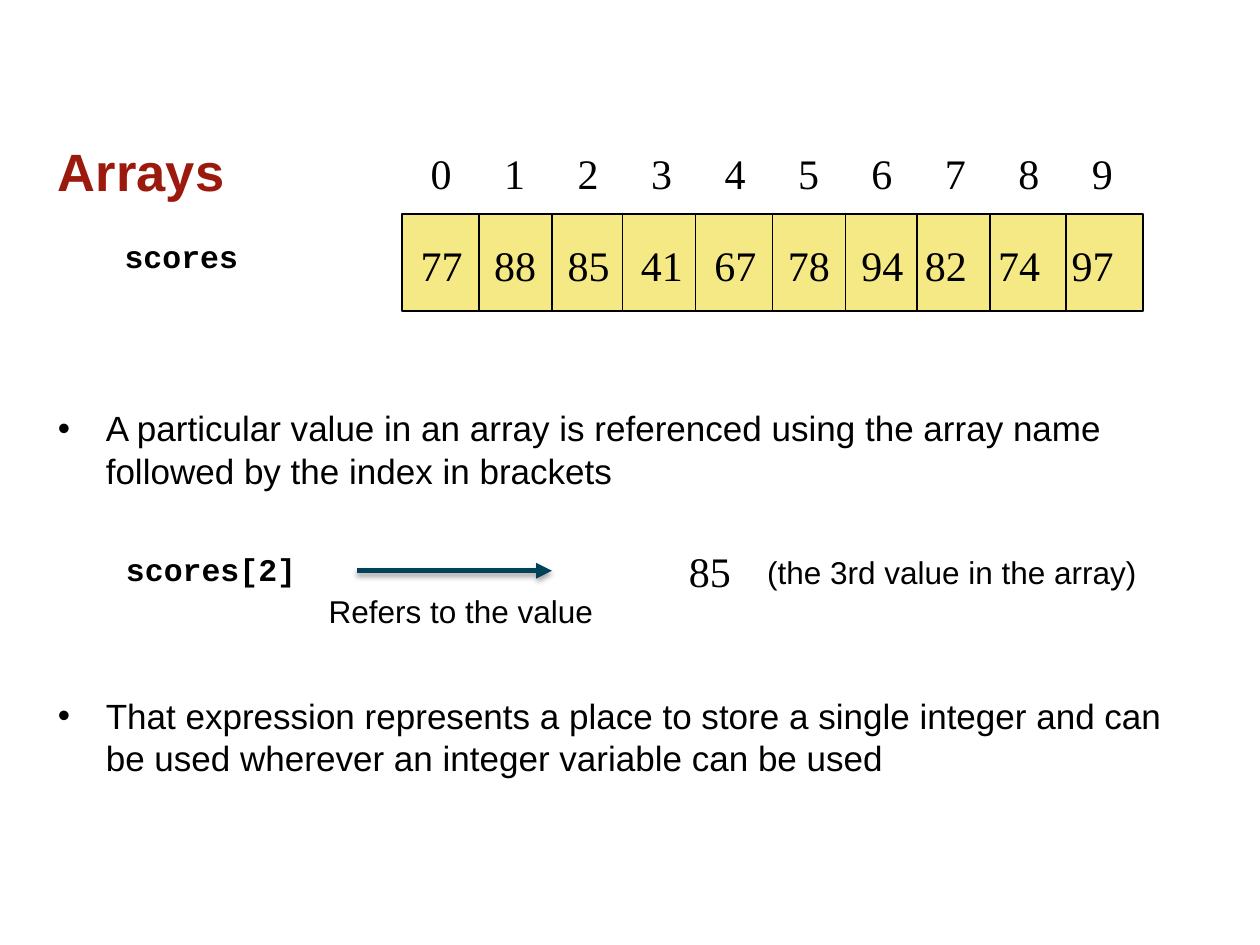
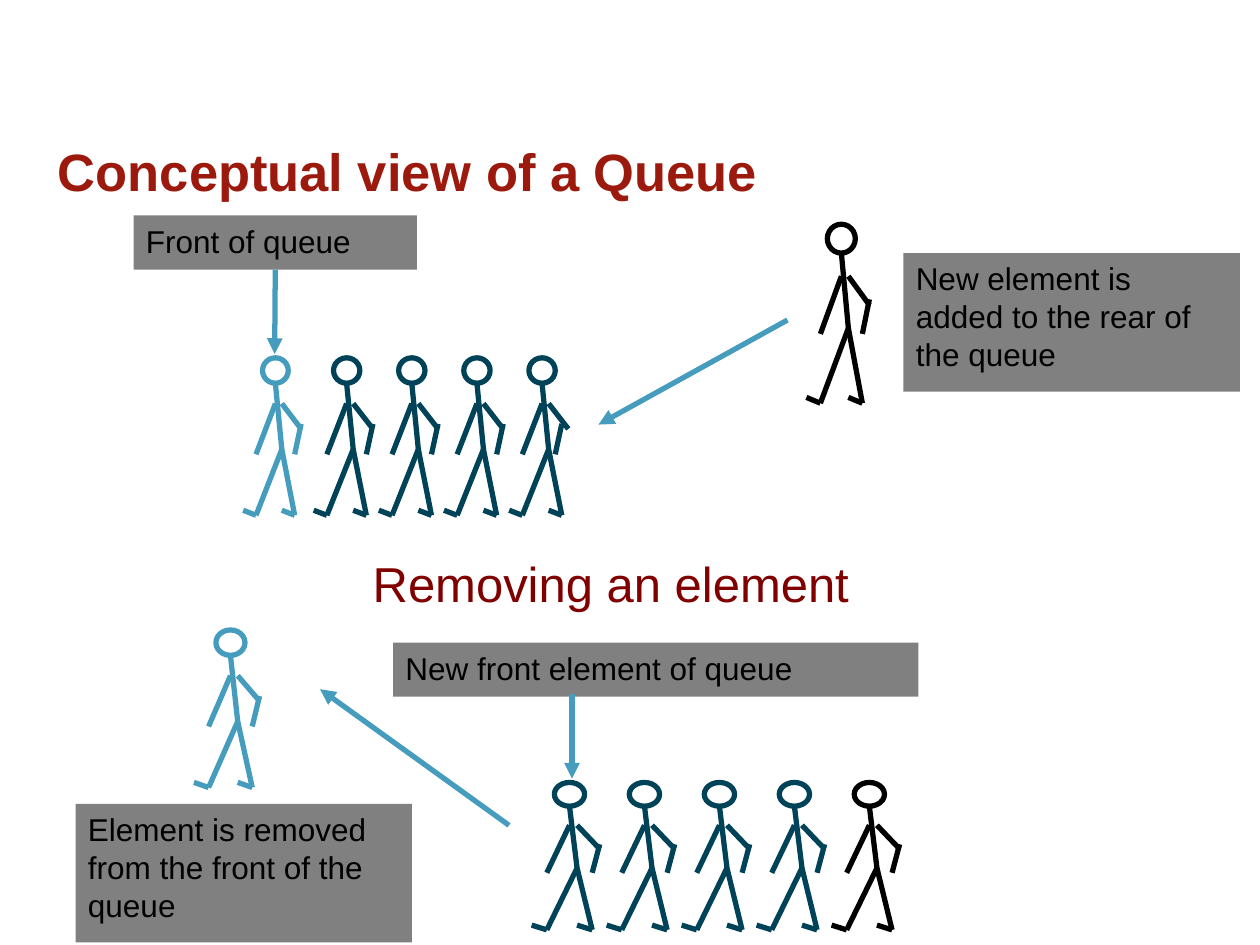
from dataclasses import dataclass

from lxml.etree import SubElement
from pptx import Presentation
from pptx.dml.color import RGBColor
from pptx.enum.shapes import MSO_CONNECTOR, MSO_SHAPE
from pptx.enum.text import MSO_ANCHOR, MSO_AUTO_SIZE, PP_ALIGN
from pptx.oxml.ns import qn
from pptx.util import Inches, Pt


@dataclass(frozen=True)
class Theme:
    red: str = "9C190D"
    maroon: str = "800000"
    black: str = "000000"
    navy: str = "004359"
    blue: str = "459CBD"
    grey: str = "808080"
    yellow: str = "F5E985"
    sans: str = "Arial"
    mono: str = "Courier New"
    serif: str = "Times New Roman"
    title: int = 30
    head: int = 28
    digit: int = 24
    list: int = 20
    label: int = 18
    thin: int = 1
    thick: int = 3


@dataclass(frozen=True)
class Box:
    left: float
    top: float
    width: float
    height: float

    def spans(self) -> list:
        return [Inches(n) for n in (self.left, self.top, self.width, self.height)]


@dataclass(frozen=True)
class Person:
    box: Box
    color: str
    slip: int = 0


@dataclass(frozen=True)
class Label:
    text: str
    box: Box


THEME = Theme()
COLS, ROWS = 9, 31
LIMBS = (
    (5, 5, 6, 18),
    (6, 18, 2, 31),
    (6, 18, 8, 31),
    (2, 31, 0, 30),
    (8, 31, 6, 30),
    (5, 9, 2, 19),
    (6, 9, 9, 14),
)
FOREARM = (9, 13, 8, 19)
PITCH = 0.583


def write(para, text: str, *, size: int = THEME.label, color: str = THEME.black,
          font: str = THEME.sans, bold: bool = False, align=PP_ALIGN.LEFT,
          lines: float = 1.0, before: int = 0, tabs=(), bullet: bool = False) -> None:
    props = para._p.get_or_add_pPr()
    if bullet:
        props.set("marL", str(Inches(0.38)))
        props.set("indent", str(Inches(-0.38)))
        SubElement(props, qn("a:buFont"), typeface=THEME.sans)
        SubElement(props, qn("a:buChar"), char="•")
    if tabs:
        stops = SubElement(props, qn("a:tabLst"))
        for stop in tabs:
            SubElement(stops, qn("a:tab"), pos=str(Inches(stop)), algn="l")
    para.alignment = align
    para.line_spacing = lines
    para.space_before = Pt(before)
    run = para.add_run()
    run.text = text
    run.font.name = font
    run.font.size = Pt(size)
    run.font.bold = bold
    run.font.color.rgb = RGBColor.from_string(color)


def add_text(slide, text: str, box: Box, wrap: bool = False, **style) -> None:
    frame = slide.shapes.add_textbox(*box.spans()).text_frame
    frame.word_wrap = wrap
    write(frame.paragraphs[0], text, **style)


def add_form(slide, kind, box: Box, fill: str = "", line: str = "",
             weight: int = THEME.thin):
    shape = slide.shapes.add_shape(kind, *box.spans())
    shape.shadow.inherit = False
    if fill:
        shape.fill.solid()
        shape.fill.fore_color.rgb = RGBColor.from_string(fill)
    else:
        shape.fill.background()
    if line:
        shape.line.color.rgb = RGBColor.from_string(line)
        shape.line.width = Pt(weight)
    else:
        shape.line.fill.background()
    return shape


def add_label(slide, label: Label):
    shape = add_form(slide, MSO_SHAPE.RECTANGLE, label.box, THEME.grey)
    frame = shape.text_frame
    frame.word_wrap = True
    frame.vertical_anchor = MSO_ANCHOR.TOP
    write(frame.paragraphs[0], label.text)
    return shape


def add_line(slide, ends: tuple, color: str, weight: int = THEME.thick,
             arrow: bool = False, shadow: bool = False):
    link = slide.shapes.add_connector(
        MSO_CONNECTOR.STRAIGHT, *[Inches(n) for n in ends])
    link.line.color.rgb = RGBColor.from_string(color)
    link.line.width = Pt(weight)
    if arrow:
        SubElement(link.line._get_or_add_ln(), qn("a:tailEnd"), type="triangle")
    effects = SubElement(link._element.spPr, qn("a:effectLst"))
    if shadow:
        outer = SubElement(effects, qn("a:outerShdw"), blurRad=str(Pt(3.1)),
                           dist=str(Pt(1.8)), dir="5400000", rotWithShape="0")
        tint = SubElement(outer, qn("a:srgbClr"), val=THEME.black)
        SubElement(tint, qn("a:alpha"), val="35000")
    return link


def add_person(slide, person: Person) -> None:
    box = person.box
    col, row = box.width / COLS, box.height / ROWS
    head = Box(box.left + 3 * col, box.top, 4 * col, 5 * row)
    add_form(slide, MSO_SHAPE.OVAL, head, line=person.color, weight=THEME.thick)
    slip = person.slip
    x1, y1, x2, y2 = FOREARM
    for a, b, c, d in (*LIMBS, (x1 - slip, y1, x2 - slip, y2)):
        add_line(slide, (box.left + a * col, box.top + b * row,
                         box.left + c * col, box.top + d * row), person.color)


def add_slide(deck, layout: int, title: str):
    slide = deck.slides.add_slide(deck.slide_layouts[layout])
    shape = slide.shapes.title
    shape.left, shape.top, shape.width, shape.height = Box(0.36, 0.99, 9.28, 0.72).spans()
    shape.text_frame.auto_size = MSO_AUTO_SIZE.NONE
    shape.text_frame.vertical_anchor = MSO_ANCHOR.MIDDLE
    write(shape.text_frame.paragraphs[0], title,
          size=THEME.title, color=THEME.red, bold=True)
    return slide


def draw_arrays(deck) -> None:
    slide = add_slide(deck, 1, "Arrays")
    body = slide.placeholders[1]
    body.left, body.top, body.width, body.height = Box(0.36, 3.18, 9.28, 3.57).spans()
    frame = body.text_frame
    frame.auto_size = MSO_AUTO_SIZE.NONE
    frame.vertical_anchor = MSO_ANCHOR.TOP
    write(frame.paragraphs[0],
          "A particular value in an array is referenced using the array name "
          "followed by the index in brackets", size=THEME.list, bullet=True)
    write(frame.add_paragraph(),
          "That expression represents a place to store a single integer and can "
          "be used wherever an integer variable can be used",
          size=THEME.list, bullet=True, before=116)

    top, height = 1.7, 0.77
    cells = [Box(3.19, top, 5.88, height)]
    cells += [Box(left, top, 0.58, height) for left in (3.8, 4.94, 6.13, 7.28)]
    for cell in cells:
        add_form(slide, MSO_SHAPE.RECTANGLE, cell, THEME.yellow, THEME.black)
    add_line(slide, (8.46, top, 8.46, top + height), THEME.black, THEME.thin)

    digits = dict(size=THEME.digit, font=THEME.serif)
    stops = [PITCH * n for n in range(1, 10)]
    add_text(slide, "\t".join(str(n) for n in range(10)),
             Box(3.32, 1.12, 5.75, 0.5), True, tabs=stops, **digits)
    scores = (77, 88, 85, 41, 67, 78, 94, 82, 74, 97)
    nudged = [stop - (0.08 if n > 6 else 0) for n, stop in enumerate(stops, 1)]
    add_text(slide, "\t".join(str(score) for score in scores),
             Box(3.24, 1.85, 5.76, 0.51), True, tabs=nudged, **digits)

    code = dict(font=THEME.mono, bold=True)
    add_text(slide, "scores", Box(0.89, 1.83, 1.11, 0.4), **code)
    add_text(slide, "scores[2]", Box(0.89, 4.35, 1.57, 0.38),
             align=PP_ALIGN.CENTER, lines=0.9, **code)
    add_line(slide, (2.83, 4.53, 4.38, 4.53), THEME.navy, arrow=True, shadow=True)
    add_text(slide, "Refers to the value", Box(2.51, 4.65, 2.32, 0.4))
    add_text(slide, "85", Box(5.37, 4.28, 0.54, 0.5), **digits)
    add_text(slide, "(the 3rd value in the array)",
             Box(5.99, 4.37, 3.16, 0.37), lines=0.9)


def draw_queue(deck) -> None:
    slide = add_slide(deck, 5, "Conceptual view of a Queue")
    people = [Person(Box(1.93, 2.84, 0.46, 1.25), THEME.blue)]
    people += [Person(Box(2.49 + 0.517 * n, 2.84, 0.47, 1.25), THEME.navy, n // 3)
               for n in range(4)]
    people.append(Person(Box(6.4, 1.78, 0.5, 1.42), THEME.black))
    people += [Person(Box(4.22 + 0.595 * n, 6.21, 0.54, 1.17),
                      THEME.black if n == 4 else THEME.navy) for n in range(5)]
    people.append(Person(Box(1.54, 5, 0.52, 1.25), THEME.blue))
    for person in people:
        add_person(slide, person)

    labels = (
        Label("Front of queue", Box(1.06, 1.71, 2.25, 0.43)),
        Label("New element is added to the rear of the queue",
              Box(7.17, 2.01, 2.67, 1.1)),
        Label("Element is removed from the front of the queue",
              Box(0.6, 6.38, 2.67, 1.1)),
        Label("New front element of queue", Box(3.12, 5.1, 4.17, 0.43)),
    )
    front, *_ = [add_label(slide, label) for label in labels]
    add_text(slide, "Removing an element", Box(2.86, 4.34, 4.5, 0.57), True,
             size=THEME.head, color=THEME.maroon)

    arrows = (
        (2.18, 2.14, 2.18, 2.81),
        (6.25, 2.54, 4.75, 3.37),
        (4.04, 6.55, 2.54, 5.47),
        (4.54, 5.51, 4.54, 6.18),
    )
    first, *_ = [add_line(slide, ends, THEME.blue, arrow=True) for ends in arrows]
    first.begin_connect(front, 2)


def main() -> None:
    deck = Presentation()
    deck.slide_width, deck.slide_height = Inches(10), Inches(7.5)
    draw_arrays(deck)
    draw_queue(deck)
    deck.save("out.pptx")


if __name__ == "__main__":
    main()
